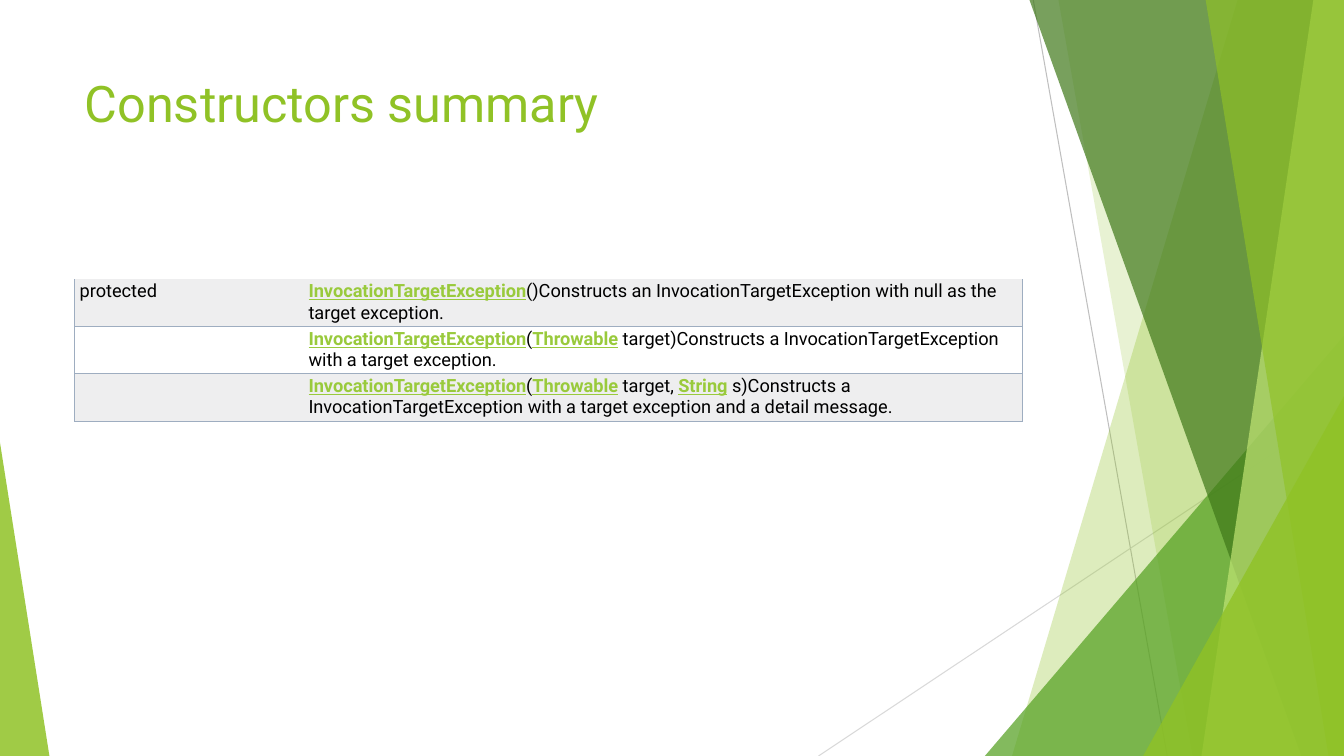
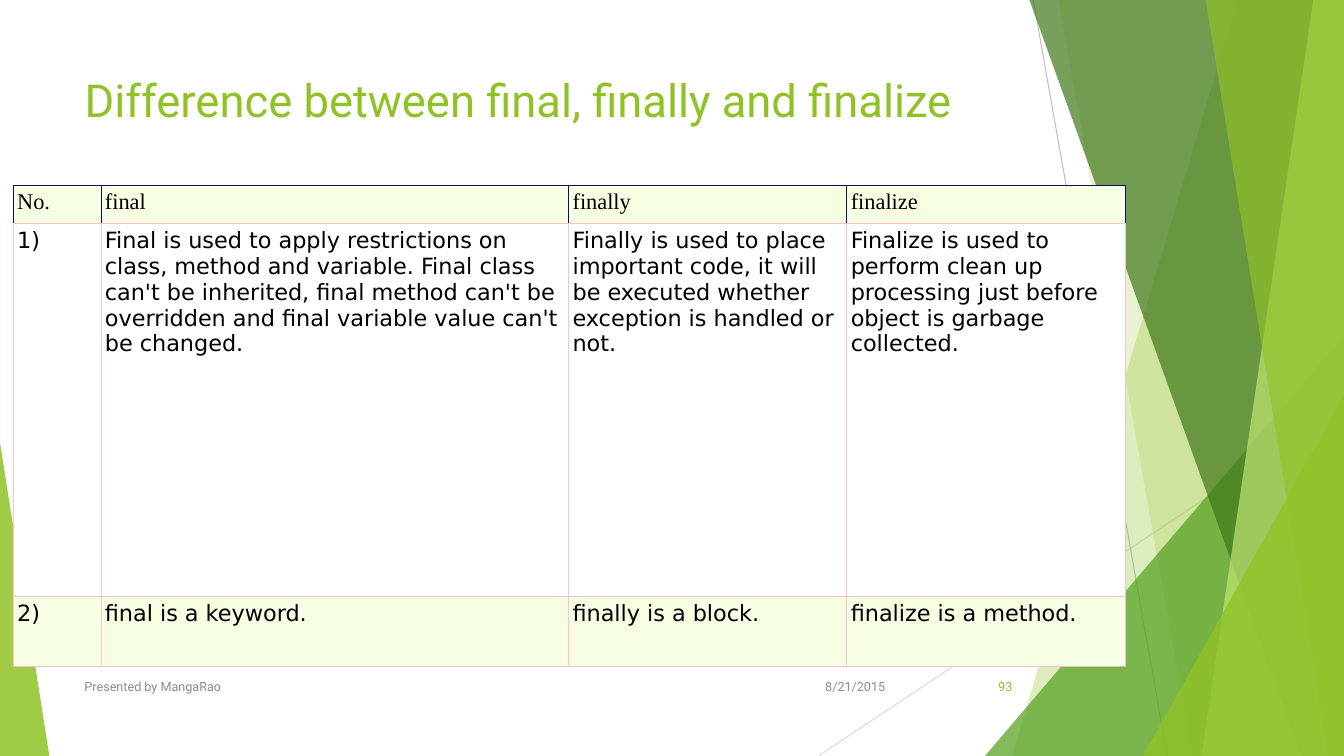
from dataclasses import dataclass

from lxml import etree
from pptx import Presentation
from pptx import util as u
from pptx.dml.color import RGBColor
from pptx.enum import shapes, text
from pptx.oxml import ns


@dataclass(frozen=True)
class Theme:
    font: str = "Roboto"
    header_font: str = "Times New Roman"
    body_font: str = "DejaVu Sans"
    green: str = "90C226"
    deep_green: str = "54A021"
    dark_green: str = "3F7819"
    pale_green: str = "C0E474"
    link: str = "99CA3C"
    ink: str = "000000"
    white: str = "FFFFFF"
    grey_row: str = "EEEEEF"
    green_row: str = "F6FFE1"
    slate: str = "9EADC0"
    navy: str = "100965"
    pink: str = "FFC0CB"
    muted: str = "8C8C8C"
    ray: str = "BFBFBF"
    pale_ray: str = "D9D9D9"
    title_size: float = 36
    long_title_size: float = 32.4
    summary_size: float = 13
    comparison_size: float = 16
    footer_size: float = 9


THEME = Theme()
WIDTH, HEIGHT = u.Inches(13.333), u.Inches(7.5)
MARGIN = 5.55
CONTENT_WIDTH = 70.5


def across(percent):
    return round(WIDTH * percent / 100)


def down(percent):
    return round(HEIGHT * percent / 100)


def box(left, top, width, height):
    return across(left), down(top), across(width), down(height)


def style_font(font, size, color, name=THEME.font):
    font.size = u.Pt(size)
    font.name = name
    font.color.rgb = RGBColor.from_string(color)


def paint(shape, color, opacity):
    shape.shadow.inherit = False
    shape.line.fill.background()
    shape.fill.solid()
    shape.fill.fore_color.rgb = RGBColor.from_string(color)
    tint = shape.element.spPr.find(ns.qn("a:solidFill"))[0]
    etree.SubElement(tint, ns.qn("a:alpha")).set("val", str(opacity * 1000))
    return shape


def add_ray(slide, start, end, color):
    ray = slide.shapes.add_connector(
        shapes.MSO_CONNECTOR.STRAIGHT,
        across(start[0]), down(start[1]), across(end[0]), down(end[1]))
    ray.line.color.rgb = RGBColor.from_string(color)
    ray.line.width = u.Pt(0.75)
    etree.SubElement(ray.element.spPr, ns.qn("a:effectLst"))
    return ray


def add_shard(slide, top_x, bottom_x, color, opacity):
    outline = slide.shapes.build_freeform(across(top_x), down(-0.1))
    outline.add_line_segments([
        (across(100), down(-0.1)), (across(100), down(100)),
        (across(bottom_x), down(100))])
    return paint(outline.convert_to_shape(), color, opacity)


def add_wedge(slide, left, top, width, apex, color, opacity):
    wedge = slide.shapes.add_shape(
        shapes.MSO_SHAPE.ISOSCELES_TRIANGLE, *box(left, top, width, 100 - top))
    wedge.adjustments[0] = apex
    return paint(wedge, color, opacity)


def add_backdrop(master, slide):
    facets = [
        add_ray(slide, (76.88, 0), (86.85, 100), THEME.ray),
        add_ray(slide, (100, 53.73), (60.9, 100), THEME.pale_ray),
        add_shard(slide, 92.1, 75.3, THEME.green, 30),
        add_shard(slide, 78.75, 88.73, THEME.green, 20),
        add_wedge(slide, 73.28, 44.4, 26.72, 1, THEME.deep_green, 72),
        add_shard(slide, 76.58, 96.83, THEME.dark_green, 70),
        add_shard(slide, 97.73, 89.4, THEME.pale_green, 70),
        add_shard(slide, 89.7, 98.85, THEME.green, 65),
        add_wedge(slide, 85.05, 52.4, 14.95, 1, THEME.green, 80),
        add_wedge(slide, 0, 58.53, 3.68, 0, THEME.green, 85),
    ]
    for order, facet in enumerate(facets):
        facet.element.xpath("./*/p:cNvPr")[0].set("id", str(100 + order))
        master.shapes.element.insert(2 + order, facet.element)


def set_title(slide, words, size):
    title = slide.shapes.title
    title.left, title.top, title.width, title.height = box(
        MARGIN, 8.93, CONTENT_WIDTH, 19.2)
    frame = title.text_frame
    frame.text = words
    frame.word_wrap = True
    frame.auto_size = text.MSO_AUTO_SIZE.NONE
    frame.vertical_anchor = text.MSO_ANCHOR.TOP
    frame.paragraphs[0].alignment = text.PP_ALIGN.LEFT
    style_font(frame.paragraphs[0].runs[0].font, size, THEME.green)


def add_footer(slide, words, left, width, align, color=THEME.muted):
    frame = slide.shapes.add_textbox(*box(left, 88.13, width, 5.33)).text_frame
    frame.text = words
    frame.word_wrap = True
    frame.vertical_anchor = text.MSO_ANCHOR.MIDDLE
    frame.paragraphs[0].alignment = align
    style_font(frame.paragraphs[0].runs[0].font, THEME.footer_size, color)


def add_grid(slide, left, top, columns, rows):
    grid = slide.shapes.add_table(
        len(rows), len(columns), *box(left, top, sum(columns), sum(rows))).table
    grid.first_row = grid.horz_banding = False
    for column, width in zip(grid.columns, columns):
        column.width = across(width)
    for row, height in zip(grid.rows, rows):
        row.height = down(height)
    return grid


def format_cell(cell, fill, edges, weight, insets):
    cell.margin_left, cell.margin_top, cell.margin_right, cell.margin_bottom = (
        u.Inches(inset) for inset in insets)
    cell.fill.solid()
    cell.fill.fore_color.rgb = RGBColor.from_string(fill)
    properties = cell._tc.get_or_add_tcPr()
    for order, side in enumerate("LRTB"):
        edge = etree.Element(ns.qn("a:ln" + side), w=str(u.Pt(weight)))
        if side in edges:
            ink = etree.SubElement(edge, ns.qn("a:solidFill"))
            etree.SubElement(ink, ns.qn("a:srgbClr")).set("val", edges[side])
        else:
            etree.SubElement(edge, ns.qn("a:noFill"))
        properties.insert(order, edge)


def write_signature(paragraph, marked):
    for order, words in enumerate(marked.split("*")):
        if words:
            is_link = order % 2 == 1
            run = paragraph.add_run()
            run.text = words
            style_font(run.font, THEME.summary_size,
                       THEME.link if is_link else THEME.ink)
            run.font.bold = run.font.underline = is_link


def add_constructor_table(slide):
    constructors = [
        ("protected",
         "*InvocationTargetException*()Constructs an\u00a0InvocationTargetException"
         "\u00a0with\u00a0null\u00a0as the target exception."),
        ("",
         "*InvocationTargetException*(*Throwable*\u00a0target)Constructs a "
         "InvocationTargetException with a target exception."),
        ("",
         "*InvocationTargetException*(*Throwable*\u00a0target,\u00a0*String*"
         "\u00a0s)Constructs a InvocationTargetException with a target exception "
         "and a detail message."),
    ]
    grid = add_grid(slide, MARGIN, 36.93, [17.03, 53.47], [6.27] * 3)
    for r, entry in enumerate(constructors):
        for c, words in enumerate(entry):
            cell = grid.cell(r, c)
            edges = {"LR"[c]: THEME.slate, "B": THEME.slate}
            if r:
                edges["T"] = THEME.slate
            format_cell(cell, THEME.white if r % 2 else THEME.grey_row,
                        edges, 0.75, (0.05, 0.02, 0.02, 0.02))
            write_signature(cell.text_frame.paragraphs[0], words)


def add_comparison_table(slide):
    comparison = [
        ("No.", "final", "finally", "finalize"),
        ("1)",
         "Final is used to apply restrictions on class, method and variable. "
         "Final class can't be inherited, final method can't be overridden and "
         "final variable value can't be changed.",
         "Finally is used to place important code, it will be executed whether "
         "exception is handled or not.",
         "Finalize is used to perform clean up processing just before object is "
         "garbage collected."),
        ("2)", "final is a keyword.", "finally is a block.",
         "finalize is a method."),
    ]
    grid = add_grid(slide, 0.98, 24.53, [6.53, 34.8, 20.7, 20.7],
                    [5.07, 49.33, 9.2])
    for r, entry in enumerate(comparison):
        edges = dict.fromkeys("LRTB", THEME.pink)
        if r == 0:
            edges.update(dict.fromkeys("LRT", THEME.navy))
        for c, words in enumerate(entry):
            cell = grid.cell(r, c)
            cell.text_frame.text = words
            format_cell(cell, THEME.white if r % 2 else THEME.green_row,
                        edges, 0.6, (0.04,) * 4)
            style_font(cell.text_frame.paragraphs[0].runs[0].font,
                       THEME.comparison_size, THEME.ink,
                       THEME.body_font if r else THEME.header_font)


def main():
    deck = Presentation()
    deck.slide_width, deck.slide_height = WIDTH, HEIGHT
    title_only = deck.slide_layouts[5]

    summary = deck.slides.add_slide(title_only)
    add_backdrop(deck.slide_master, summary)
    set_title(summary, "Constructors summary", THEME.title_size)
    add_constructor_table(summary)

    difference = deck.slides.add_slide(title_only)
    set_title(difference, "Difference between final, finally and finalize",
              THEME.long_title_size)
    add_comparison_table(difference)
    add_footer(difference, "8/21/2015", 59.1, 7.5, text.PP_ALIGN.RIGHT)
    add_footer(difference, "Presented by MangaRao", MARGIN, 51.68,
               text.PP_ALIGN.LEFT)
    add_footer(difference, "93", 70.43, 5.63, text.PP_ALIGN.RIGHT, THEME.green)

    deck.save("out.pptx")


main()
